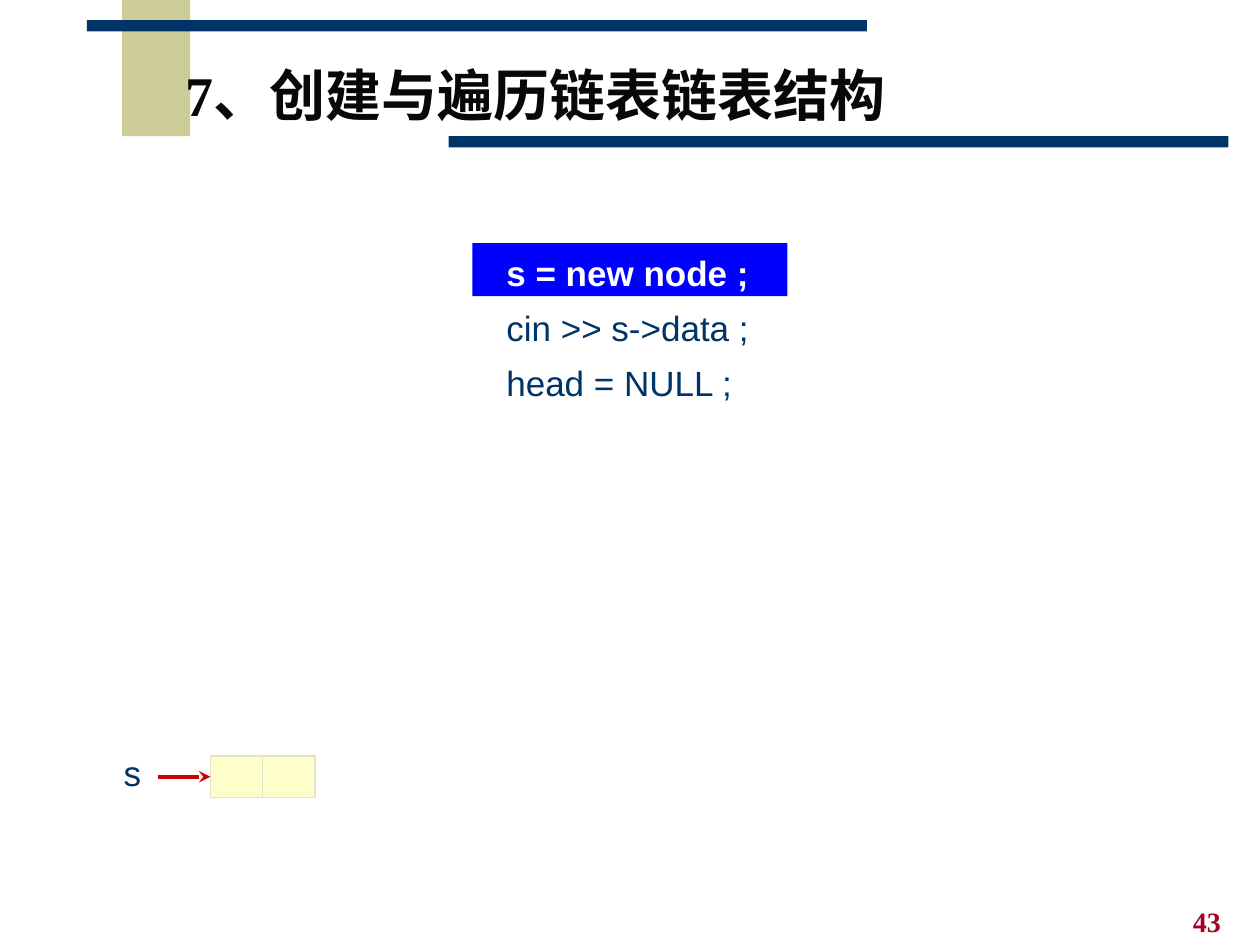
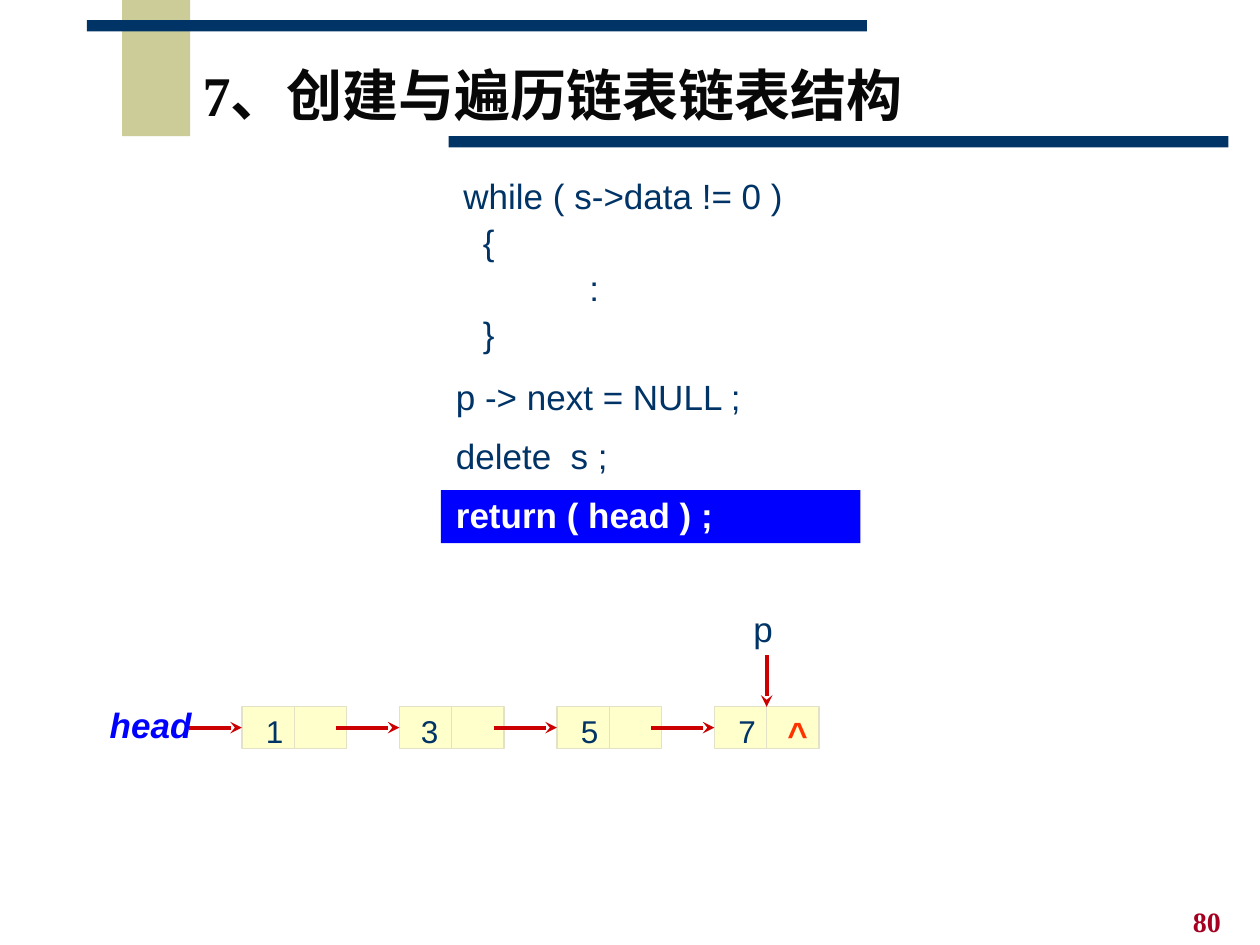
from lxml import etree
from pptx import Presentation
from pptx.dml.color import RGBColor
from pptx.enum.shapes import MSO_CONNECTOR, MSO_SHAPE
from pptx.enum.text import MSO_ANCHOR, PP_ALIGN
from pptx.oxml.ns import qn
from pptx.util import Inches, Pt

STRAIGHT, RECT = MSO_CONNECTOR.STRAIGHT, MSO_SHAPE.RECTANGLE
TOP, MIDDLE = MSO_ANCHOR.TOP, MSO_ANCHOR.MIDDLE
LEFT, CENTER = PP_ALIGN.LEFT, PP_ALIGN.CENTER

COLORS = {"navy": "003366", "khaki": "CCCC99", "title": "080808", "number": "A50021",
          "highlight": "0000FF", "white": "FFFFFF", "node": "FFFFCC", "edge": "E3E2C7",
          "arrow": "CC0000", "null": "FF3300"}
RGB = {name: RGBColor.from_string(value) for name, value in COLORS.items()}
CODE_FONT, TITLE_FONT = "Arial", "Times New Roman"
TITLE = "7、创建与遍历链表链表结构"
BANDS = [((0.97, 0, 0.54, 1.08), "khaki"),
         ((0.69, 0.16, 6.19, 0.09), "navy"),
         ((3.56, 1.08, 6.19, 0.09), "navy")]
NODE_W, NODE_H, NODE_STEP = 0.83, 0.33, 1.25


def add_text(s, box, lines, size=20, font=CODE_FONT, spacing=1.0, align=LEFT,
             anchor=TOP, wrap=True, italic=False):
    tf = s.shapes.add_textbox(*map(Inches, box)).text_frame
    tf.word_wrap = wrap
    tf.vertical_anchor = anchor
    for i, (text, color, bold) in enumerate(lines):
        p = tf.paragraphs[0] if i == 0 else tf.add_paragraph()
        p.alignment = align
        p.line_spacing = spacing
        if "\t" in text:
            tabs = etree.SubElement(p._p.get_or_add_pPr(), qn("a:tabLst"))
            etree.SubElement(tabs, qn("a:tab"), pos=str(Inches(1)), algn="l")
        r = p.add_run()
        r.text = text
        r.font.name = font
        r.font.size = Pt(size)
        r.font.bold = bold
        r.font.italic = italic
        r.font.color.rgb = RGB[color]


def add_line(s, start, end, color, width, arrow=False):
    line = s.shapes.add_connector(STRAIGHT, *map(Inches, start + end))
    line.line.color.rgb = RGB[color]
    line.line.width = Pt(width)
    spPr = line._element.spPr
    if arrow:
        etree.SubElement(spPr.find(qn("a:ln")), qn("a:tailEnd"), type="stealth")
    etree.SubElement(spPr, qn("a:effectLst"))
    return line


SLIDES = [
    {"number": "43", "title_box": (0.49, 0.29, 7.52, 1),
     "highlight": (3.75, 1.93, 2.5, 0.42),
     "code": [((3.92, 1.85, 2.25, 1.4), 1.3,
               [("s = new node ;", "white", True),
                ("cin >> s->data ;", "navy", False),
                ("head = NULL ;", "navy", False)])],
     "first_node": (1.67, 6), "values": [""], "arrow_start": 1.25,
     "pointer": ((0.88, 5.91, 0.34, 0.44), ("s", "navy", False))},
    {"number": "80", "title_box": (1.41, 0.29, 5.96, 1),
     "highlight": (3.5, 3.89, 3.33, 0.42),
     "code": [((3.58, 1.3, 3.17, 1.57), 1.1,
               [(text, "navy", False)
                for text in ("while ( s->data != 0 )", "  {", "\t:", "  }")]),
              ((3.52, 2.8, 2.6, 1.5), 1.4,
               [("p -> next = NULL ;", "navy", False),
                ("delete  s ;", "navy", False),
                ("return ( head ) ;", "white", True)])],
     "first_node": (1.92, 5.61), "values": ["1", "3", "5", "7"], "arrow_start": 1.5,
     "pointer": ((0.77, 5.53, 0.85, 0.44), ("head", "highlight", True))},
]

prs = Presentation()
prs.slide_width, prs.slide_height = Inches(10), Inches(7.5)

for spec_data in SLIDES:
    s = prs.slides.add_slide(prs.slide_layouts[6])
    x0, y = spec_data["first_node"]
    node_xs = [x0 + i * NODE_STEP for i in range(len(spec_data["values"]))]
    rects = BANDS + [(spec_data["highlight"], "highlight")]
    rects += [((x, y, NODE_W, NODE_H), "node") for x in node_xs]
    nodes = []
    for box, color in rects:
        sp = s.shapes.add_shape(RECT, *map(Inches, box))
        sp.shadow.inherit = False
        sp.fill.solid()
        sp.fill.fore_color.rgb = RGB[color]
        if color == "node":
            sp.line.color.rgb = RGB["edge"]
            sp.line.width = Pt(0.75)
            nodes.append(sp)
        else:
            sp.line.fill.background()

    add_text(s, spec_data["title_box"], [(TITLE, "title", True)], size=32,
             font=TITLE_FONT, spacing=0.85, align=CENTER, anchor=MIDDLE)
    add_text(s, (9.37, 7.13, 0.63, 0.37), [(spec_data["number"], "number", True)],
             size=16, font=TITLE_FONT)
    for box, spacing, lines in spec_data["code"]:
        add_text(s, box, lines, spacing=spacing)

    mid_y = y + NODE_H / 2
    for i, (x, node, value) in enumerate(zip(node_xs, nodes, spec_data["values"])):
        mid_x = x + NODE_W / 2
        divider = add_line(s, (mid_x, y), (mid_x, y + NODE_H), "edge", 0.75)
        divider.begin_connect(node, 0)
        divider.end_connect(node, 2)
        start_x = spec_data["arrow_start"] if i == 0 else x - 0.5
        arrow = add_line(s, (start_x, mid_y), (x, mid_y), "arrow", 2.25, arrow=True)
        arrow.end_connect(node, 1)
        if value:
            value_x = x + (0.07 if value == "3" else 0.09)
            add_text(s, (value_x, 5.6, 0.34, 0.4), [(value, "navy", False)], size=18,
                     align=CENTER, anchor=MIDDLE, wrap=False)

    box, label = spec_data["pointer"]
    add_text(s, box, [label], align=CENTER, anchor=MIDDLE, wrap=False,
             italic=label[0] == "head")

last_x = node_xs[-1] + NODE_W / 2
p_arrow = add_line(s, (last_x, 5.2), (last_x, y), "arrow", 2.25, arrow=True)
p_arrow.end_connect(nodes[-1], 0)
for box, label in [((5.88, 4.77, 0.35, 0.44), ("p", "navy", False)),
                   ((6.15, 5.6, 0.36, 0.44), ("^", "null", True))]:
    add_text(s, box, [label], align=CENTER, anchor=MIDDLE, wrap=False)

prs.save("out.pptx")
